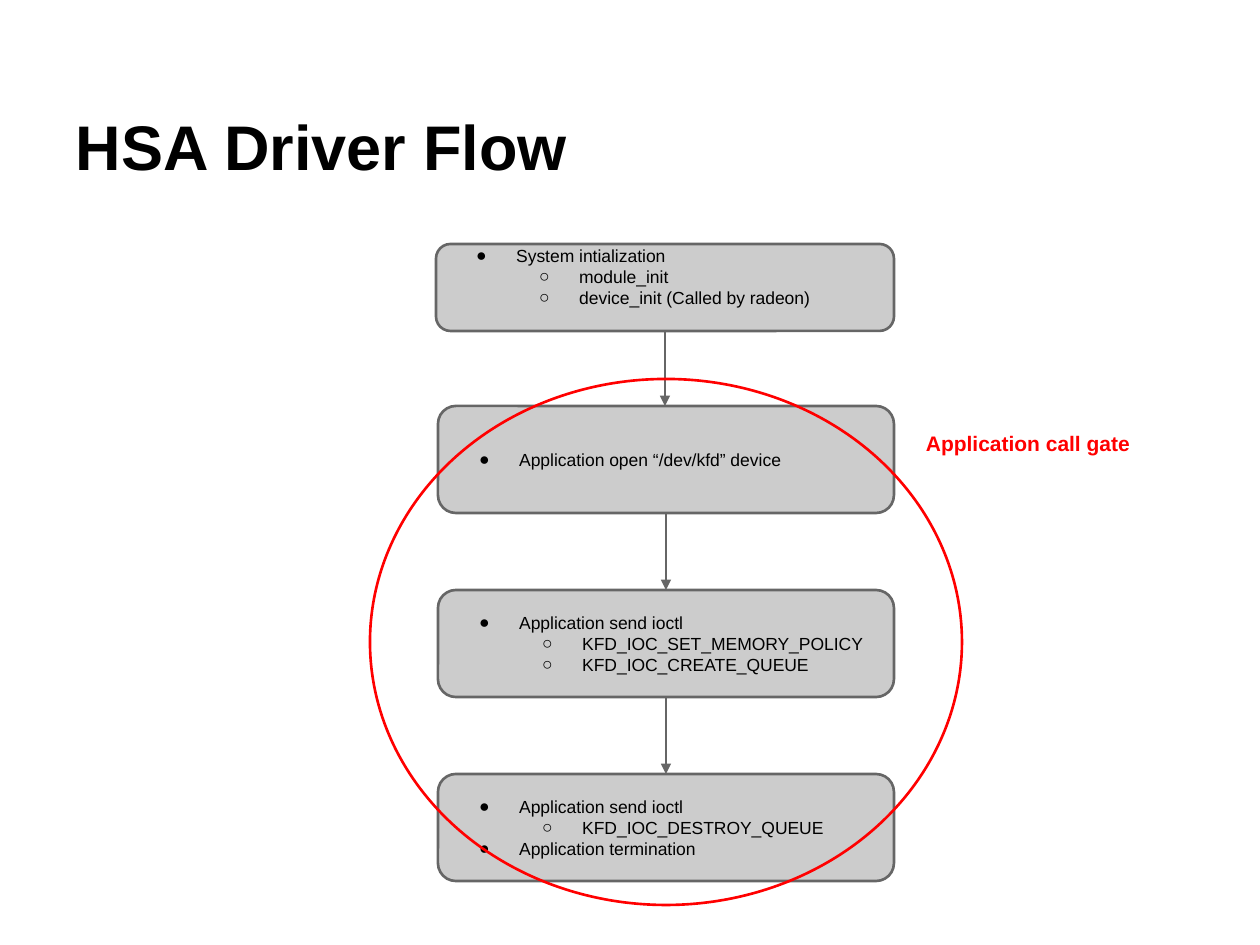
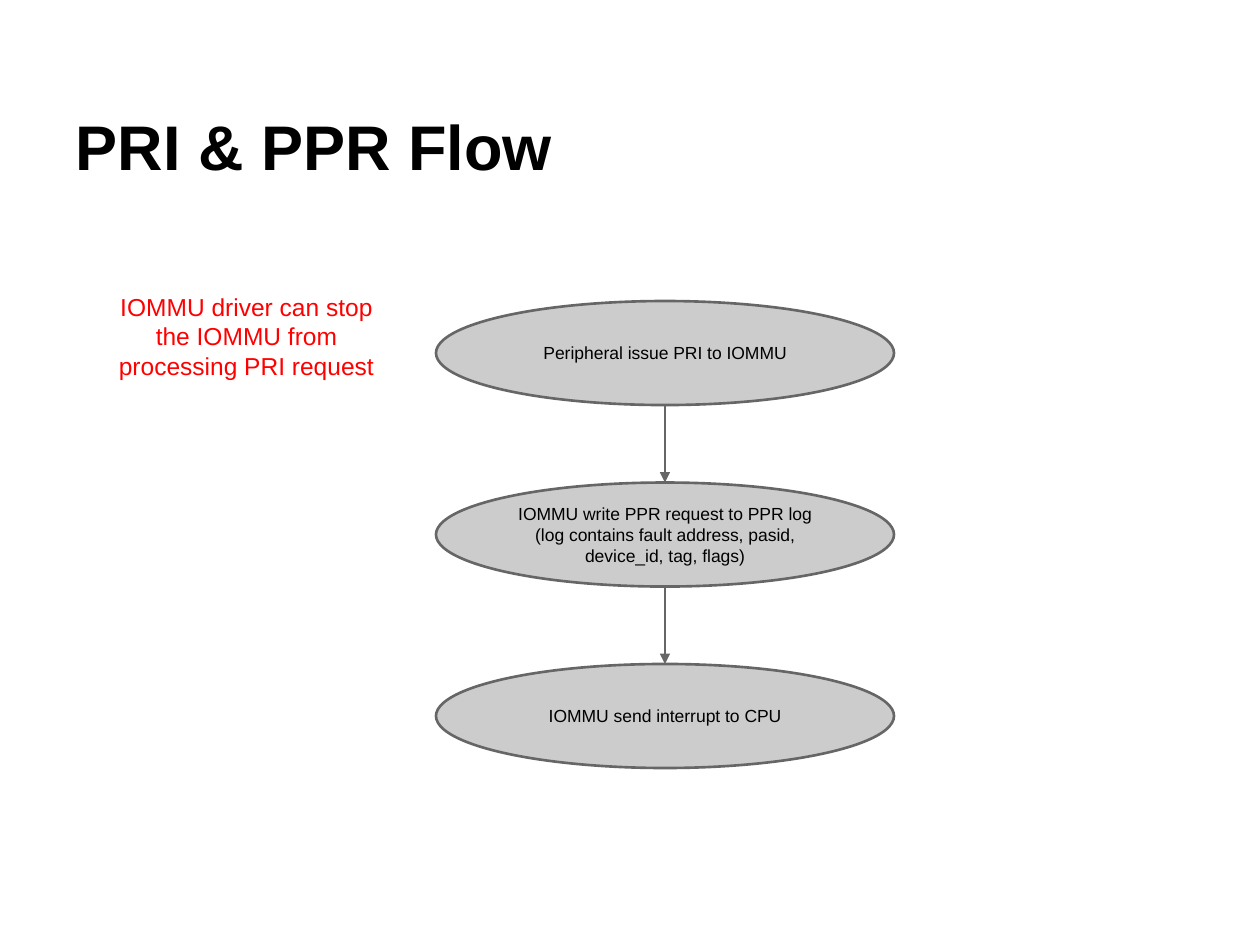
from itertools import pairwise

from lxml.etree import SubElement
from pptx import Presentation
from pptx.dml.color import RGBColor
from pptx.enum.shapes import MSO_CONNECTOR, MSO_SHAPE
from pptx.enum.text import MSO_ANCHOR, MSO_AUTO_SIZE, PP_ALIGN
from pptx.oxml.ns import qn
from pptx.util import Emu, Pt

EMU_PER_PX = 914400 / 126
FONT = "Arial"
BLACK, GREY, DARK, RED = "000000", "CCCCCC", "666666", "FF0000"
TITLE_BOX = (63, 38, 1134, 158)
BULLETS = "●○"
INDENT, HANGING, INSET = 63, 40, 13


def px(length):
    return Emu(round(length * EMU_PER_PX))


def place(box):
    return [px(length) for length in box]


def color(value):
    return RGBColor.from_string(value)


def add_bullet(paragraph, level):
    paragraph.level = level
    properties = paragraph._p.get_or_add_pPr()
    properties.set("marL", str(px(INDENT * (level + 1))))
    properties.set("indent", str(px(-HANGING)))
    tint = SubElement(properties, qn("a:buClr"))
    SubElement(tint, qn("a:srgbClr"), val=BLACK)
    SubElement(properties, qn("a:buFont"), typeface=FONT)
    SubElement(properties, qn("a:buChar"), char=BULLETS[level])


def write(shape, lines, size=10, ink=BLACK, bold=False, align=PP_ALIGN.LEFT,
          anchor=MSO_ANCHOR.TOP, bulleted=False, top=INSET, bottom=INSET):
    frame = shape.text_frame
    frame.word_wrap = True
    frame.auto_size = MSO_AUTO_SIZE.NONE
    frame.vertical_anchor = anchor
    frame.margin_left = frame.margin_right = px(INSET)
    frame.margin_top, frame.margin_bottom = px(top), px(bottom)
    for index, (level, words) in enumerate(lines):
        paragraph = frame.add_paragraph() if index else frame.paragraphs[0]
        paragraph.alignment = align
        if bulleted:
            add_bullet(paragraph, level)
        run = paragraph.add_run()
        run.text = words
        run.font.name, run.font.size, run.font.bold = FONT, Pt(size), bold
        run.font.color.rgb = color(ink)


def add_outline(shapes, kind, box, line, fill=None):
    shape = shapes.add_shape(kind, *place(box))
    shape.shadow.inherit = False
    if fill:
        shape.fill.solid()
        shape.fill.fore_color.rgb = color(fill)
    else:
        shape.fill.background()
    shape.line.color.rgb = color(line)
    shape.line.width = Pt(1.5)
    return shape


def add_arrow(slide, x, start, end):
    arrow = slide.shapes.add_connector(
        MSO_CONNECTOR.STRAIGHT, px(x), px(start), px(x), px(end))
    arrow.line.color.rgb = color(DARK)
    arrow.line.width = Pt(1.5)
    SubElement(arrow.line._get_or_add_ln(), qn("a:tailEnd"), type="triangle")
    SubElement(arrow._element.spPr, qn("a:effectLst"))


def add_flow(slide, kind, steps, **text_format):
    for (upper, _, _), (lower, _, _) in pairwise(steps):
        left, top, width, height = upper
        add_arrow(slide, left + width / 2, top + height, lower[1])
    for box, lines, extra in steps:
        step = add_outline(slide.shapes, kind, box, DARK, GREY)
        write(step, lines, anchor=MSO_ANCHOR.MIDDLE, **text_format, **extra)


def add_note(shapes, box, words, **text_format):
    note = shapes.add_textbox(*place(box))
    write(note, [(0, words)], ink=RED, **text_format)


def add_call_gate(slide, box):
    left, top, width, height = box
    gate = slide.shapes.add_group_shape().shapes
    add_outline(gate, MSO_SHAPE.OVAL, box, RED)
    add_note(gate, (left + 543, top + 39, 262, 137), "Application call gate",
             size=12, bold=True)


def add_titled_slide(deck, title):
    slide = deck.slides.add_slide(deck.slide_layouts[5])
    heading = slide.shapes.title
    heading.left, heading.top, heading.width, heading.height = place(TITLE_BOX)
    write(heading, [(0, title)], size=36, bold=True, anchor=MSO_ANCHOR.BOTTOM)
    return slide


def build_driver_flow(deck):
    slide = add_titled_slide(deck, "HSA Driver Flow")
    startup = [(0, "System intialization"), (1, "module_init"),
               (1, "device_init (Called by radeon)")]
    application = [
        [(0, "Application open “/dev/kfd” device")],
        [(0, "Application send ioctl"), (1, "KFD_IOC_SET_MEMORY_POLICY"),
         (1, "KFD_IOC_CREATE_QUEUE")],
        [(0, "Application send ioctl"), (1, "KFD_IOC_DESTROY_QUEUE"),
         (0, "Application termination")],
    ]
    steps = [((436, 244, 458, 87), startup, {"top": 0, "bottom": 21})]
    steps += [((438, 406 + 184 * row, 456, 107), lines, {})
              for row, lines in enumerate(application)]
    add_flow(slide, MSO_SHAPE.ROUNDED_RECTANGLE, steps, bulleted=True)
    add_call_gate(slide, (370, 379, 592, 526))


def build_request_flow(deck):
    slide = add_titled_slide(deck, "PRI & PPR Flow")
    stages = [
        ["Peripheral issue PRI to IOMMU"],
        ["IOMMU write PPR request to PPR log",
         "(log contains fault address, pasid, device_id, tag, flags)"],
        ["IOMMU send interrupt to CPU"],
    ]
    steps = [((436, 301 + 181.5 * row, 458, 104),
              [(0, words) for words in stage], {})
             for row, stage in enumerate(stages)]
    add_flow(slide, MSO_SHAPE.OVAL, steps, align=PP_ALIGN.CENTER)
    add_note(slide.shapes, (93, 279, 307, 150),
             "IOMMU driver can stop the IOMMU from processing PRI request",
             size=14, align=PP_ALIGN.CENTER)


def main():
    deck = Presentation()
    deck.slide_width, deck.slide_height = px(1260), px(945)
    build_driver_flow(deck)
    build_request_flow(deck)
    deck.save("out.pptx")


if __name__ == "__main__":
    main()
